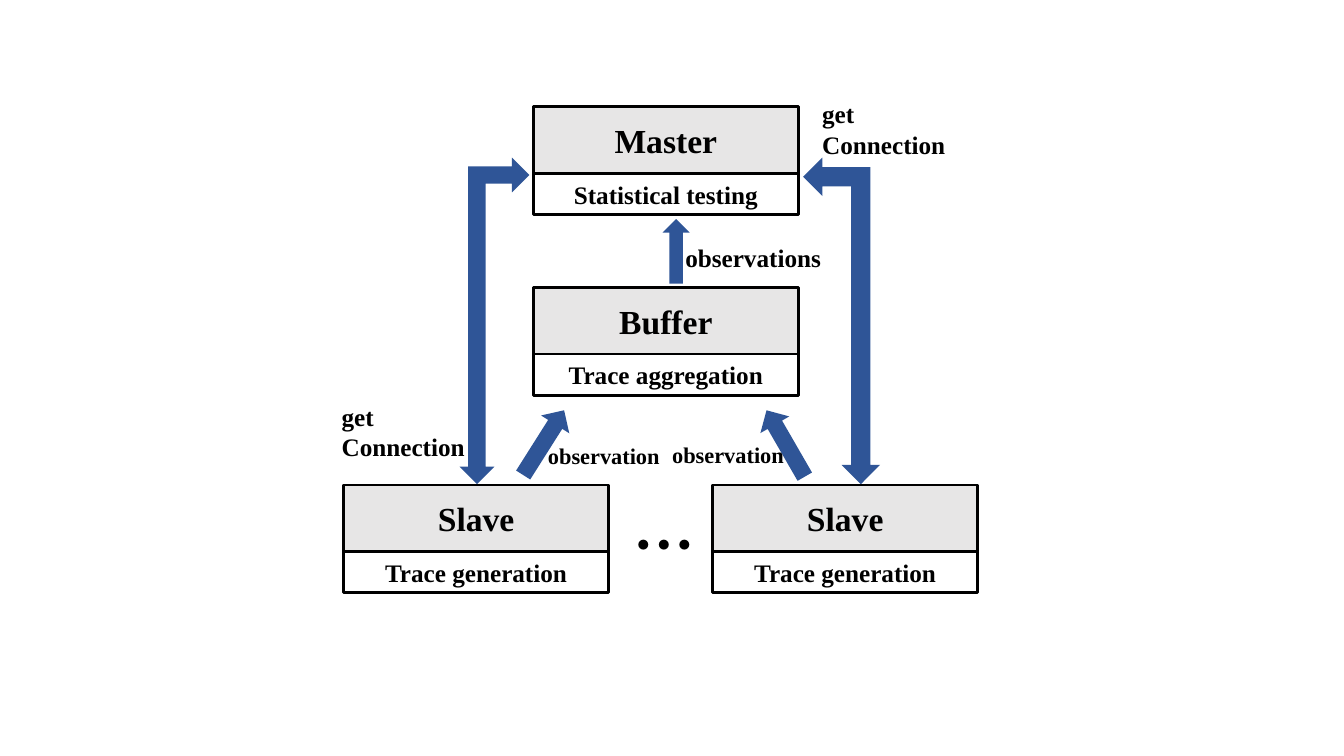
import pptx
import pptx.dml.color
import pptx.enum.lang
import pptx.enum.shapes
import pptx.enum.text
import pptx.oxml
import pptx.oxml.ns
import pptx.util
from pptx.util import Cm

THEME = {
    "ink": pptx.dml.color.RGBColor.from_string("000000"),
    "header": pptx.dml.color.RGBColor.from_string("E7E6E6"),
    "arrow": pptx.dml.color.RGBColor.from_string("2F5597"),
    "font": "Times New Roman",
    "dots_font": "Noto Sans CJK SC",
    "title": 24,
    "label": 18,
    "small": 16,
    "dots": 44,
    "line": 2,
}
SHAPES = pptx.enum.shapes.MSO_SHAPE
ALIGN = pptx.enum.text.PP_ALIGN
ANCHOR = pptx.enum.text.MSO_ANCHOR

deck = pptx.Presentation()
deck.slide_width, deck.slide_height = Cm(33.87), Cm(19.05)
page = deck.slides.add_slide(deck.slide_layouts[6])


def write(box, text, size, align, anchor, font=THEME["font"]):
    box.text_frame.word_wrap = True
    box.text_frame.vertical_anchor = anchor
    para = box.text_frame.paragraphs[0]
    para.alignment = align
    span = para.add_run()
    span.text = text
    span.font.name = font
    span.font.size = pptx.util.Pt(size)
    span.font.bold = True
    span.font.color.rgb = THEME["ink"]
    return span


def add_shape(kind, left, top, width, height, fill):
    shape = page.shapes.add_shape(kind, Cm(left), Cm(top), Cm(width), Cm(height))
    shape.shadow.inherit = False
    if fill is None:
        shape.fill.background()
    else:
        shape.fill.solid()
        shape.fill.fore_color.rgb = fill
    shape.line.fill.background()
    return shape


node_width, title_height, role_height = 6.68, 1.68, 1.04
nodes = [
    ("Master", "Statistical testing", 13.44, 2.69),
    ("Buffer", "Trace aggregation", 13.44, 7.24),
    ("Slave", "Trace generation", 8.66, 12.22),
    ("Slave", "Trace generation", 17.96, 12.22),
]
for title, role, left, top in nodes:
    parts = [
        (title, top, title_height, THEME["header"], THEME["title"]),
        (role, top + title_height, role_height, None, THEME["label"]),
    ]
    for text, part_top, height, fill, size in parts:
        box = add_shape(SHAPES.RECTANGLE, left, part_top, node_width, height, fill)
        box.line.color.rgb = THEME["ink"]
        box.line.width = pptx.util.Pt(THEME["line"])
        write(box, text, size, ALIGN.CENTER, ANCHOR.MIDDLE)

arrows = [
    (SHAPES.UP_ARROW, 19.38, 10.21, 0.84, 1.93, 330, False),
    (SHAPES.UP_ARROW, 13.28, 10.19, 0.84, 1.93, 32.3, False),
    (SHAPES.UP_ARROW, 16.7, 5.52, 0.68, 1.63, 0, False),
    (SHAPES.LEFT_UP_ARROW, 20.24, 3.97, 1.94, 8.23, 180, True),
    (SHAPES.LEFT_UP_ARROW, 11.58, 3.97, 1.76, 8.23, 180, False),
]
for kind, left, top, width, height, turn, mirrored in arrows:
    arrow = add_shape(kind, left, top, width, height, THEME["arrow"])
    arrow.rotation = turn
    if mirrored:
        arrow.element.spPr.find(pptx.oxml.ns.qn("a:xfrm")).set("flipH", "1")

labels = [
    ("observations", 17.02, 5.97, 4.14, 1.02, THEME["label"]),
    ("observation", 16.69, 11, 3.99, 0.94, THEME["small"]),
    ("observation", 13.56, 11.02, 4.06, 0.94, THEME["small"]),
    ("get Connection", 20.47, 2.36, 4.17, 1.8, THEME["label"]),
    ("get Connection", 8.36, 9.98, 4.17, 1.8, THEME["label"]),
]
for text, left, top, width, height, size in labels:
    label = page.shapes.add_textbox(Cm(left), Cm(top), Cm(width), Cm(height))
    write(label, text, size, ALIGN.LEFT, ANCHOR.TOP)

dots = page.shapes.add_textbox(Cm(15.72), Cm(12.65), Cm(2.24), Cm(2.13))
span = write(dots, "…", THEME["dots"], ALIGN.LEFT, ANCHOR.TOP, THEME["dots_font"])
span.font.language_id = pptx.enum.lang.MSO_LANGUAGE_ID.SIMPLIFIED_CHINESE
east_asian = pptx.oxml.parse_xml(
    f'<a:ea {pptx.oxml.ns.nsdecls("a")} typeface="{THEME["dots_font"]}"/>'
)
span.font.fill
span._r.get_or_add_rPr().find(pptx.oxml.ns.qn("a:latin")).addnext(east_asian)

deck.save("out.pptx")
